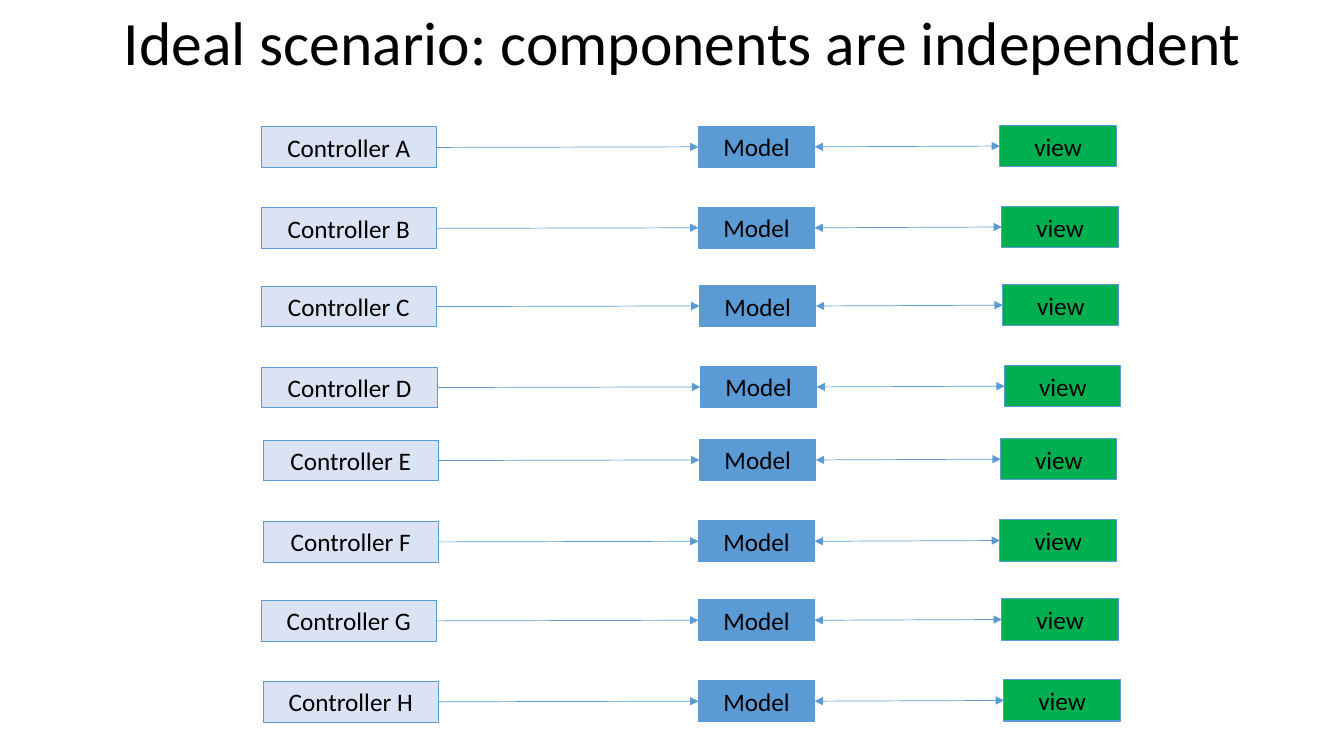
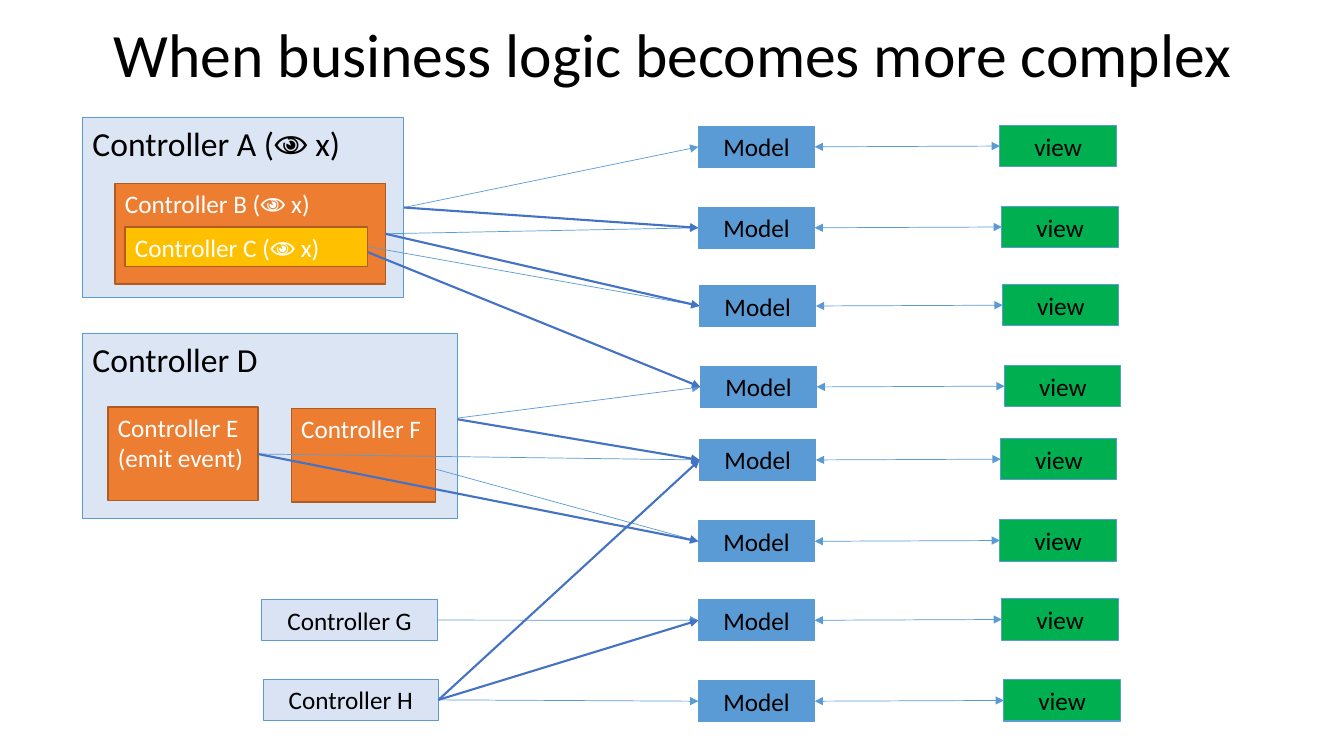
from lxml import etree
from pptx import Presentation
from pptx import util as u
from pptx.dml.color import RGBColor
from pptx.enum import shapes, text
from pptx.oxml.ns import qn

COLOURS = {
    "black": "000000", "white": "FFFFFF", "pale": "DAE3F3", "blue": "5B9BD5",
    "green": "00B050", "orange": "ED7D31", "yellow": "FFC000",
    "brown": "AF5C24", "strong": "4472C4",
}
FONT = "Calibri"
NODE_SIZE = (2.93, 1.04)
CONTROLLER_SIZE = (4.42, 1.03)

# name, top, controller left, model left, view left
ROWS = [
    ("A", 3.18, 6.58, 17.6, 25.2),
    ("B", 5.22, 6.58, 17.6, 25.25),
    ("C", 7.19, 6.58, 17.63, 25.27),
    ("D", 9.23, 6.6, 17.65, 25.32),
    ("E", 11.07, 6.63, 17.63, 25.22),
    ("F", 13.12, 6.63, 17.6, 25.2),
    ("G", 15.11, 6.58, 17.6, 25.25),
    ("H", 17.15, 6.63, 17.6, 25.3),
]
TITLES = [
    ("Ideal scenario: components are independent", (2.87, -0.69, 29.21, 3.68)),
    ("When business logic becomes more complex", (2.62, 0.33, 29.21, 2.26)),
]
OUTER = dict(fill="pale", size=24, opacity=92, align="LEFT", anchor="TOP")
INNER = dict(fill="orange", line="brown", width=1, colour="white",
             align="LEFT", anchor="TOP")
SINGLE = dict(fill="pale")
CONTROLLERS = {
    "A": ("Controller A (👁 x)", (2.08, 2.97, 8.1, 4.52), OUTER),
    "B": ("Controller B (👁 x)", (2.9, 4.62, 6.81, 2.54), INNER),
    "C": ("Controller C (👁 x)", (3.15, 5.72, 6.12, 0.99),
          {**INNER, "fill": "yellow"}),
    "D": ("Controller D", (2.08, 8.41, 9.45, 4.65), OUTER),
    "E": ("Controller E\n(emit event)", (2.72, 10.26, 3.78, 2.36), INNER),
    "F": ("Controller F", (7.34, 10.29, 3.63, 2.36), INNER),
    "G": ("Controller G", (6.6, 15.11, *CONTROLLER_SIZE), SINGLE),
    "H": ("Controller H", (6.63, 17.12, *CONTROLLER_SIZE), SINGLE),
}
# controller, model, shift of the start below the middle of the edge
OWN_LINKS = [("A", "A", 0), ("B", "B", 0), ("C", "C", 0), ("D", "D", -0.2),
             ("E", "E", 0), ("F", "F", 0.35), ("G", "G", 0), ("H", "H", 0)]
CROSS_LINKS = [("A", "B", 0), ("B", "C", 0), ("C", "D", 0.14), ("D", "E", -0.17),
               ("E", "F", 0), ("H", "G", 0), ("H", "E", 0)]


def rgb(name):
    return RGBColor.from_string(COLOURS[name])


def write(box, words, size=18, colour="black", align="CENTER", anchor="MIDDLE",
          spacing=None):
    frame = box.text_frame
    frame.word_wrap = True
    frame.vertical_anchor = getattr(text.MSO_ANCHOR, anchor)
    for number, words_of_line in enumerate(words.split("\n")):
        para = frame.add_paragraph() if number else frame.paragraphs[0]
        para.alignment = getattr(text.PP_ALIGN, align)
        para.line_spacing = spacing
        span = para.add_run()
        span.text = words_of_line
        span.font.name = FONT
        span.font.size = u.Pt(size)
        span.font.color.rgb = rgb(colour)


def add_box(page, words, place, fill, line="blue", width=0.75, opacity=100, **style):
    box = page.shapes.add_shape(shapes.MSO_SHAPE.RECTANGLE, *map(u.Cm, place))
    box.shadow.inherit = False
    box.fill.solid()
    box.fill.fore_color.rgb = rgb(fill)
    box.line.color.rgb = rgb(line)
    box.line.width = u.Pt(width)
    if opacity < 100:
        tint = box.fill._xPr.find(".//" + qn("a:srgbClr"))
        etree.SubElement(tint, qn("a:alpha"), val=str(opacity * 1000))
    write(box, words, **style)
    return box


def add_arrow(page, start, end, shift=0, colour="blue", width=0.5, double=False):
    arrow = page.shapes.add_connector(
        shapes.MSO_CONNECTOR.STRAIGHT,
        start.left + start.width, start.top + start.height // 2 + u.Cm(shift),
        end.left, end.top + end.height // 2)
    if not shift:
        arrow.begin_connect(start, 3)
    arrow.end_connect(end, 1)
    arrow.line.color.rgb = rgb(colour)
    arrow.line.width = u.Pt(width)
    outline = arrow.line._get_or_add_ln()
    for tip in ["headEnd"] * double + ["tailEnd"]:
        etree.SubElement(outline, qn("a:" + tip), type="triangle")
    etree.SubElement(arrow._element.spPr, qn("a:effectLst"))


def add_page(deck, title, place):
    page = deck.slides.add_slide(deck.slide_layouts[6])
    box = page.shapes.add_textbox(*map(u.Cm, place))
    write(box, title, size=44, align="LEFT", spacing=0.9)
    models = {}
    for name, top, _, model_left, view_left in ROWS:
        models[name] = add_box(page, "Model", (model_left, top, *NODE_SIZE), "blue")
        view = add_box(page, "view", (view_left, top - 0.02, *NODE_SIZE), "green")
        add_arrow(page, models[name], view, double=True)
    return page, models


deck = Presentation()
deck.slide_width, deck.slide_height = u.Cm(33.87), u.Cm(19.05)

page, models = add_page(deck, *TITLES[0])
for name, top, left, *_ in ROWS:
    controller = add_box(page, f"Controller {name}",
                         (left, top + 0.02, *CONTROLLER_SIZE), **SINGLE)
    add_arrow(page, controller, models[name])

page, models = add_page(deck, *TITLES[1])
controllers = {name: add_box(page, words, place, **style)
               for name, (words, place, style) in CONTROLLERS.items()}
for source, target, shift in OWN_LINKS:
    add_arrow(page, controllers[source], models[target], shift)
for source, target, shift in CROSS_LINKS:
    add_arrow(page, controllers[source], models[target], shift,
              colour="strong", width=1.5)

deck.save("out.pptx")
